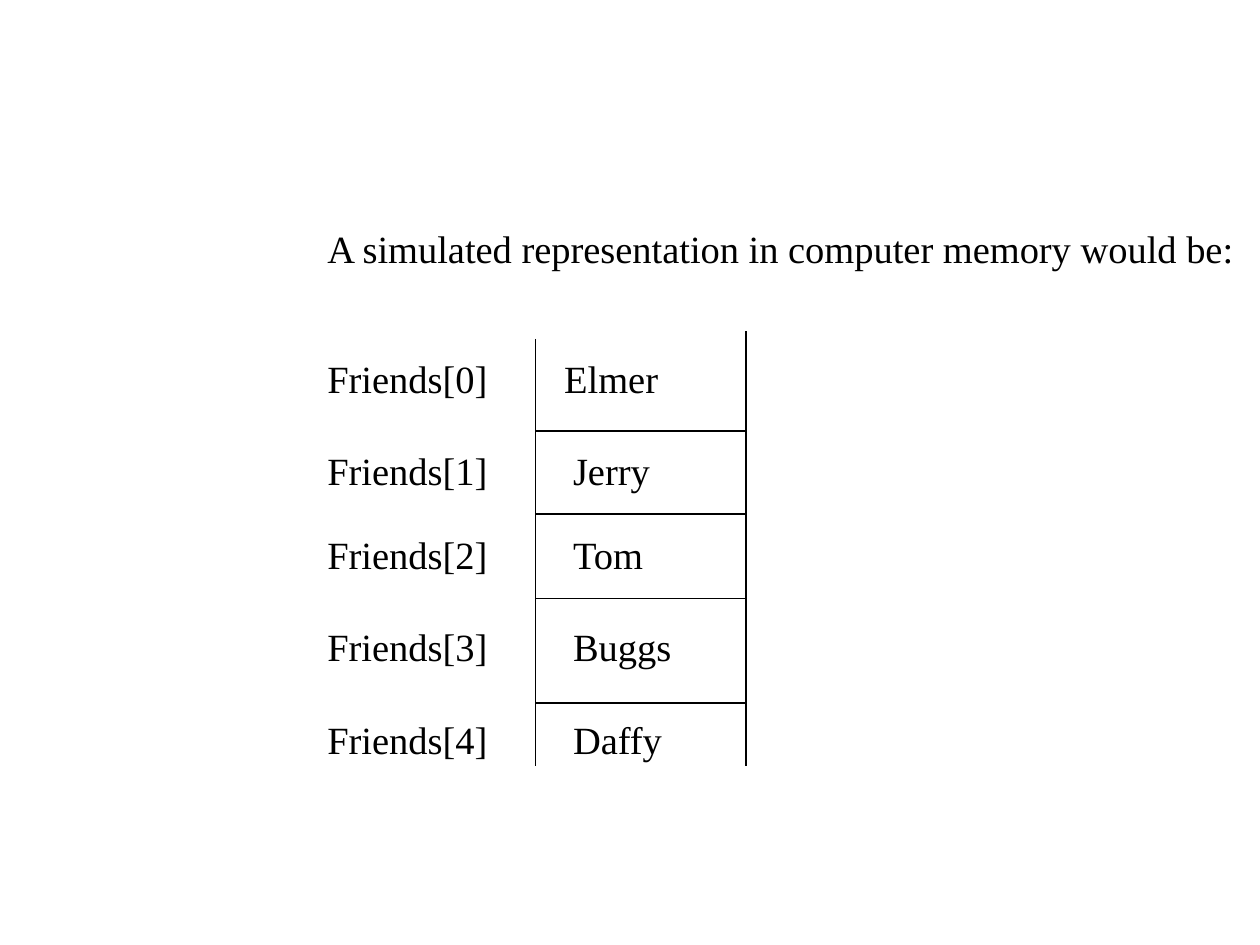
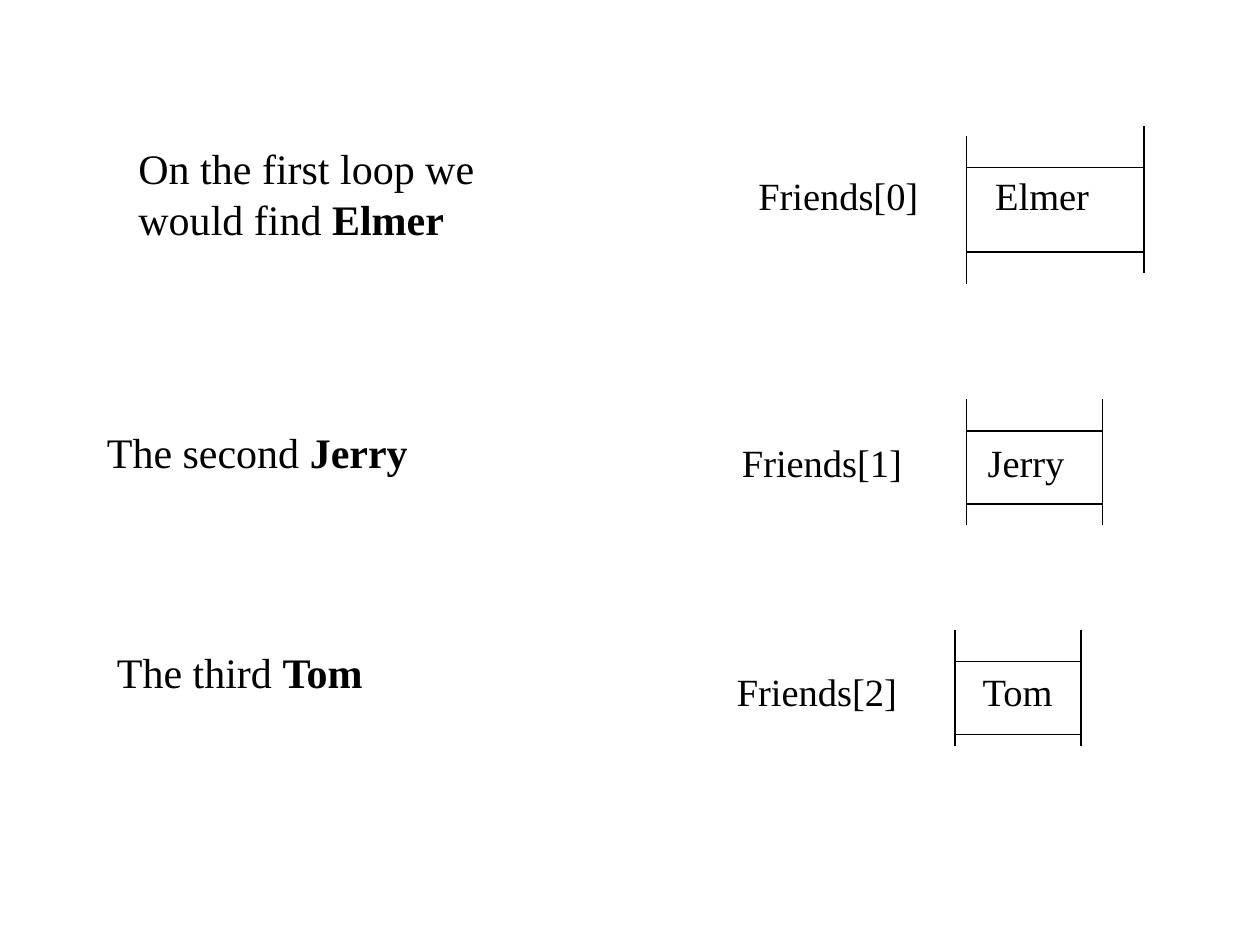
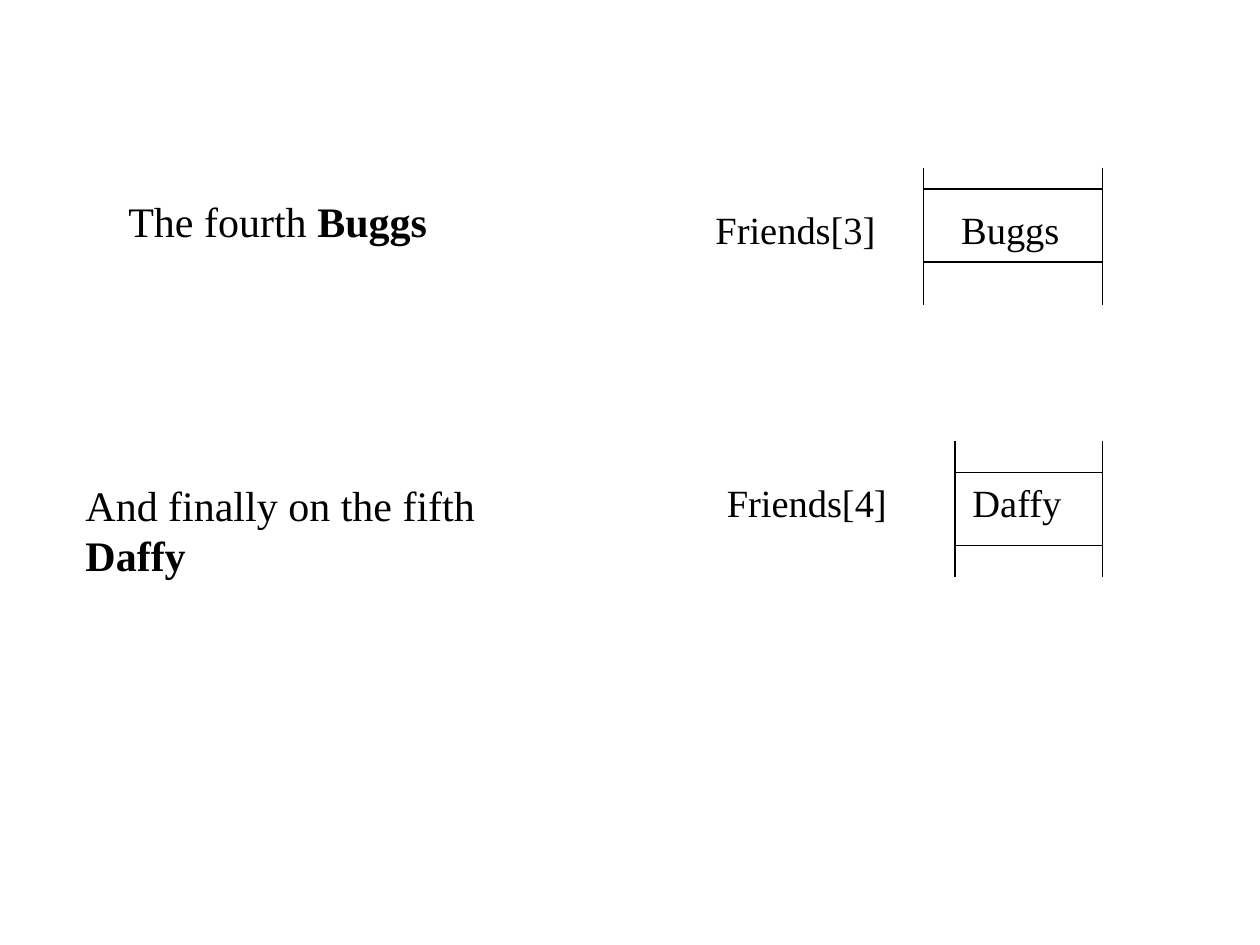
from pptx import Presentation
from pptx.dml.color import RGBColor
from pptx.enum.shapes import MSO_CONNECTOR
from pptx.enum.text import MSO_ANCHOR
from pptx.oxml.ns import qn
from pptx.util import Inches, Pt
from lxml.etree import SubElement

COLORS = {"ink": "000000", "page": "FFFFFF"}
FONT = "Times New Roman"
LABEL, PROSE = 22, 24
PITCH = 1.21
FRAME = {
    "word_wrap": True,
    "vertical_anchor": MSO_ANCHOR.TOP,
    "margin_left": Inches(0.1),
    "margin_right": Inches(0.1),
    "margin_top": Inches(0.05),
    "margin_bottom": Inches(0.05),
}
NAMES = ["Elmer", "Jerry", "Tom", "Buggs", "Daffy"]
GAPS = [47.7, 26.5, 21.4, 26, 26]


def apply(target, values):
    for name, value in values.items():
        setattr(target, name, value)


def color(name):
    return RGBColor.from_string(COLORS[name])


def add_page(deck):
    slide = deck.slides.add_slide(deck.slide_layouts[6])
    slide.background.fill.solid()
    slide.background.fill.fore_color.rgb = color("page")
    return slide


def add_frame(slide, left, top, width, height, **extra):
    box = slide.shapes.add_textbox(
        Inches(left), Inches(top), Inches(width), Inches(height))
    apply(box.text_frame, {**FRAME, **extra})
    return box.text_frame


def add_text(para, size, text, bold=False):
    run = para.add_run()
    run.text = text
    apply(run.font, {"name": FONT, "size": Pt(size), "bold": bold})
    run.font.color.rgb = color("ink")
    para.line_spacing = Pt(round(size * PITCH, 1))


def add_entry(para, index):
    add_text(para, LABEL, f"Friends[{index}]\t{NAMES[index]}")
    stops = SubElement(para._p.get_or_add_pPr(), qn("a:tabLst"))
    stop = Inches(1.95 if index else 1.88)
    SubElement(stops, qn("a:tab"), pos=str(stop), algn="l")


def add_label(slide, index, *area):
    add_entry(add_frame(slide, *area).paragraphs[0], index)


def add_prose(slide, index, lead, *area):
    para = add_frame(slide, *area).paragraphs[0]
    add_text(para, PROSE, lead)
    add_text(para, PROSE, NAMES[index], True)


def add_line(slide, *ends):
    line = slide.shapes.add_connector(
        MSO_CONNECTOR.STRAIGHT, *[Inches(end) for end in ends])
    line.line.width = Pt(0.74)
    line.line.color.rgb = color("ink")
    SubElement(line._element.spPr, qn("a:effectLst"))


def add_cell(slide, left, right, top, bottom, rungs, lift=0):
    add_line(slide, left, top, left, bottom)
    add_line(slide, right, top - lift, right, bottom - lift)
    for level in rungs:
        add_line(slide, left, level, right, level)


def draw_memory(deck):
    slide = add_page(deck)
    frame = add_frame(slide, 2.5, 1.35, 7.83, 5.84, margin_top=Inches(0.43))
    add_text(frame.paragraphs[0], LABEL,
             "A simulated representation in computer memory would be:")
    for index, gap in enumerate(GAPS):
        para = frame.add_paragraph()
        para.space_before = Pt(gap)
        add_entry(para, index)
    left, right, bottom = 4.25, 5.92, 6.08
    add_line(slide, left, 2.69, left, bottom)
    add_line(slide, right, 2.63, right, bottom)
    for level in (3.42, 4.08, 4.75, 5.58):
        add_line(slide, left, level, right, level)


def draw_start(deck):
    slide = add_page(deck)
    add_label(slide, 0, 5.92, 1.31, 3.17, 1.03)
    add_label(slide, 1, 5.79, 3.43, 3.32, 0.47)
    add_label(slide, 2, 5.75, 5.25, 3.17, 0.47)
    add_prose(slide, 0, "On the first loop we would find ", 1, 1.08, 3.08, 0.9)
    add_prose(slide, 1, "The second ", 0.75, 3.33, 2.75, 0.5)
    add_prose(slide, 2, "The third ", 0.83, 5.08, 3.33, 0.5)
    add_cell(slide, 7.67, 9.08, 1.08, 2.25, (1.33, 2), lift=0.08)
    add_cell(slide, 7.67, 8.75, 3.17, 4.17, (3.42, 4))
    add_cell(slide, 7.58, 8.58, 5, 5.92, (5.25, 5.83))


def draw_finish(deck):
    slide = add_page(deck)
    add_label(slide, 3, 5.58, 1.58, 3.42, 0.47)
    add_label(slide, 4, 5.67, 3.75, 3.67, 0.47)
    add_prose(slide, 3, "The fourth ", 0.92, 1.5, 2.92, 0.5)
    add_prose(slide, 4, "And finally on the fifth ", 0.58, 3.75, 3.67, 0.9)
    add_cell(slide, 7.33, 8.75, 1.33, 2.42, (1.5, 2.08))
    add_cell(slide, 7.58, 8.75, 3.5, 4.58, (3.75, 4.33))


def main():
    deck = Presentation()
    apply(deck, {"slide_width": Inches(10), "slide_height": Inches(7.5)})
    for draw in (draw_memory, draw_start, draw_finish):
        draw(deck)
    deck.save("out.pptx")


main()
